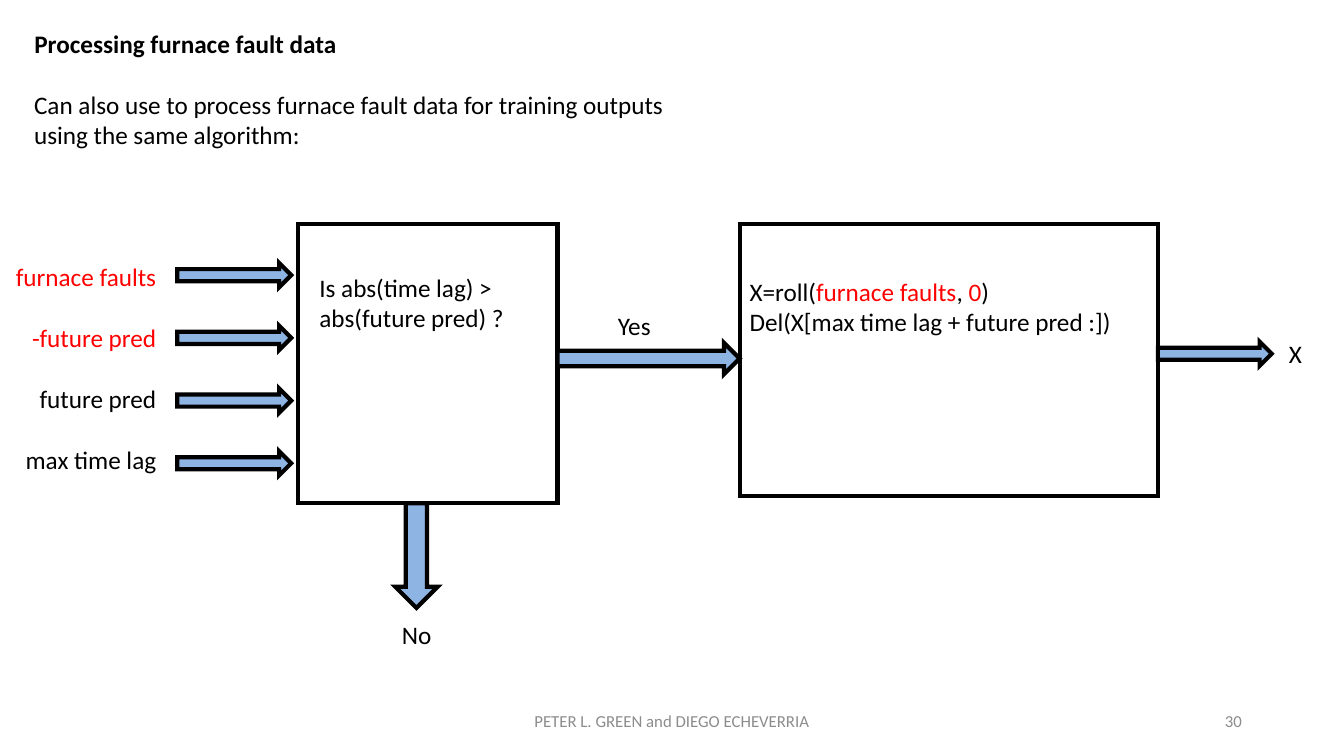
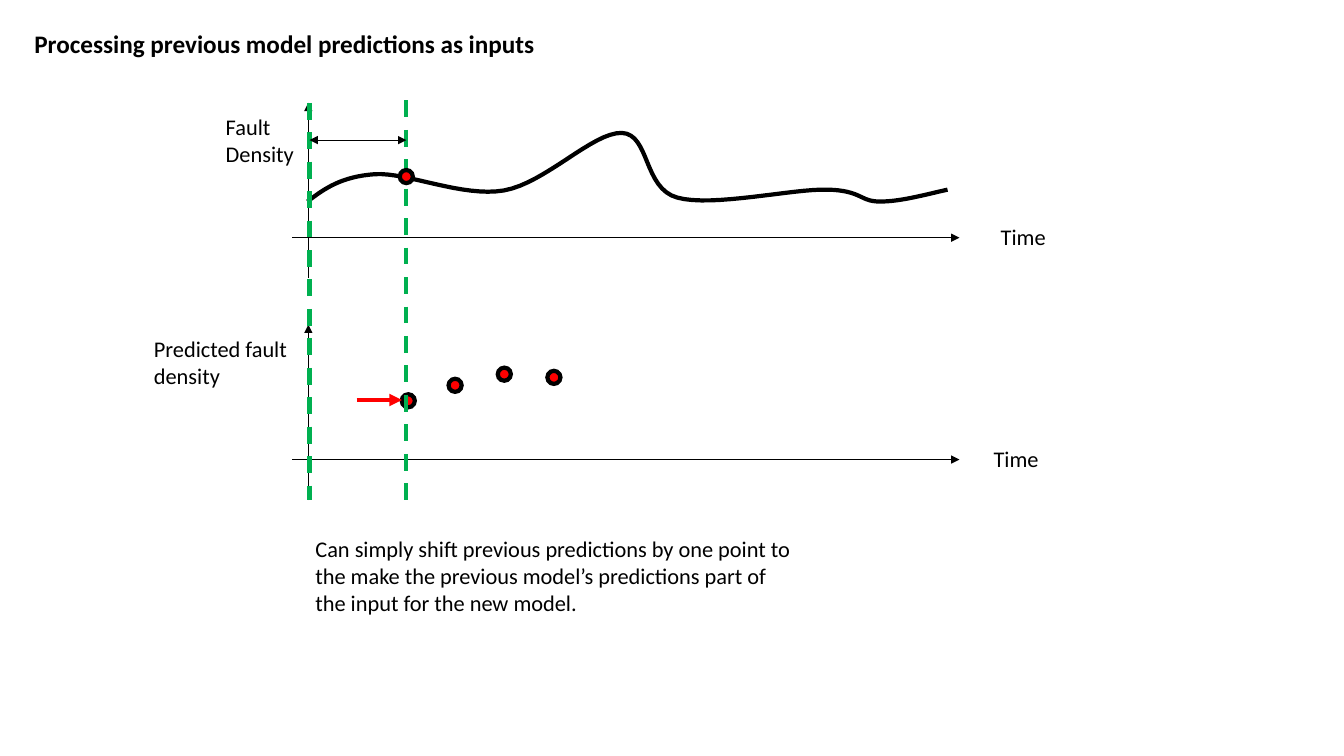
from lxml import etree
from pptx import Presentation
from pptx import util as u
from pptx.dml import color
from pptx.enum import dml, shapes, text
from pptx.oxml import ns

Cm = u.Cm
BLACK, WHITE, RED, GREEN, BLUE, GREY = "000000", "FFFFFF", "FF0000", "00B050", "8EB4E3", "8C8C8C"
THIN, THICK = 0.75, 3
LEFT, CENTER, RIGHT = text.PP_ALIGN.LEFT, text.PP_ALIGN.CENTER, text.PP_ALIGN.RIGHT
TOP, MIDDLE = text.MSO_ANCHOR.TOP, text.MSO_ANCHOR.MIDDLE
SHAPE = shapes.MSO_SHAPE
TITLE_ONLY = 5

# Centimetres right of and above the origin of the fault density plot:
# the start, then two control points and an end for each segment.
DENSITY_CURVE = [
    (-0.02, 0.91),
    (0.41, 1.24), (0.84, 1.54), (1.68, 1.6),
    (2.49, 1.65), (3.89, 1.01), (4.93, 1.19),
    (5.97, 1.37), (7.17, 2.66), (7.9, 2.64),
    (8.61, 2.61), (8.44, 1.24), (9.3, 1.01),
    (10.16, 0.76), (12.25, 1.24), (13.08, 1.21),
    (13.95, 1.19), (13.9, 0.91), (14.4, 0.91),
    (14.91, 0.91), (15.45, 1.06), (16.11, 1.21),
]
OBSERVED = (2.47, 1.54)
PREDICTED = [(2.52, 1.48), (3.7, 1.87), (4.94, 2.15), (6.19, 2.07)]


def rgb(value):
    return color.RGBColor.from_string(value)


def apply(target, values):
    for name, value in values.items():
        setattr(target, name, value)


def write(frame, paragraphs, size=18, ink=BLACK, bold=False, align=LEFT, gap=0, **frame_format):
    """Fill a frame; a paragraph is a string or a list of (words, colour) runs."""
    apply(frame, {"word_wrap": True, "auto_size": text.MSO_AUTO_SIZE.NONE,
                  "vertical_anchor": TOP, **frame_format})
    for i, runs in enumerate(paragraphs):
        paragraph = frame.add_paragraph() if i else frame.paragraphs[0]
        apply(paragraph, {"alignment": align, "space_before": u.Pt(gap if i else 0)})
        for words, run_ink in [(runs, ink)] if isinstance(runs, str) else runs:
            run = paragraph.add_run()
            run.text = words
            apply(run.font, {"name": "Calibri", "size": u.Pt(size), "bold": bold})
            run.font.color.rgb = rgb(run_ink)


def add_text(slide, box, paragraphs, **style):
    label = slide.shapes.add_textbox(*map(Cm, box))
    write(label.text_frame, paragraphs, **style)


def outline(shape, ink=BLACK, width=THICK):
    shape.line.width = u.Pt(width)
    shape.line.color.rgb = rgb(ink)


def add_line_part(shape, tag, **attributes):
    etree.SubElement(shape.line._get_or_add_ln(), ns.qn(tag), attributes)


def add_block(slide, kind, box, fill):
    block = slide.shapes.add_shape(kind, *map(Cm, box))
    block.shadow.inherit = False
    block.fill.solid()
    block.fill.fore_color.rgb = rgb(fill)
    outline(block)
    add_line_part(block, "a:miter", lim="800000")
    return block


def add_line(slide, start, end, ink=BLACK, width=THIN, heads=(), dashed=False):
    line = slide.shapes.add_connector(shapes.MSO_CONNECTOR.STRAIGHT, *map(Cm, start + end))
    outline(line, ink, width)
    if dashed:
        line.line.dash_style = dml.MSO_LINE.DASH
    for head in heads:
        add_line_part(line, head, type="triangle")
    etree.SubElement(line._element.spPr, ns.qn("a:effectLst"))


def add_dot(slide, center, size=0.33):
    x, y = center
    add_block(slide, SHAPE.OVAL, (x - size / 2, y - size / 2, size, size), RED)


def titled_slide(deck, title):
    slide = deck.slides.add_slide(deck.slide_layouts[TITLE_ONLY])
    heading = slide.shapes.title
    apply(heading, dict(zip(("left", "top", "width", "height"), map(Cm, (0.61, 0.58, 16.61, 1.02)))))
    write(heading.text_frame, [title], bold=True)
    return slide


def add_footer(slide, authors, number):
    top, height = 17.65, 1.02
    style = {"size": 12, "ink": GREY, "vertical_anchor": MIDDLE}
    add_text(slide, (11.22, top, 11.43, height), [authors], align=CENTER, **style)
    add_text(slide, (23.93, top, 7.62, height), [number], align=RIGHT, **style)


def input_list(slide, left, top):
    labels = [[("furnace faults", RED)], [("-future pred", RED)], "future pred", "max time lag"]
    add_text(slide, (left, top, 4.19, 5.64), labels, align=RIGHT, gap=22)
    for row in range(len(labels)):
        add_block(slide, SHAPE.RIGHT_ARROW, (left + 4.47, top + 0.18 + 1.58 * row, 2.87, 0.61), BLUE)


def process_box(slide, box, paragraphs, inset_left, inset_top):
    step = add_block(slide, SHAPE.RECTANGLE, box, WHITE)
    write(step.text_frame, paragraphs, margin_left=Cm(inset_left), margin_top=Cm(inset_top),
          margin_right=0)


def flow_diagram(slide, left, top):
    decision_left, decision_width, decision_height = left + 7.52, 6.53, 7.04
    roll_left, roll_width = left + 18.64, 10.54
    decision_right, roll_right = decision_left + decision_width, roll_left + roll_width
    bottom = top + decision_height

    input_list(slide, left, top + 0.81)
    process_box(slide, (decision_left, top, decision_width, decision_height),
                ["Is abs(time lag) >", "abs(future pred) ?"], 0.53, 1.22)
    process_box(slide, (roll_left, top, roll_width, 6.86),
                [[("X=roll(", BLACK), ("furnace faults", RED), (", ", BLACK), ("0", RED), (")", BLACK)],
                 "Del(X[max time lag + future pred :])"], 0.25, 1.32)

    add_block(slide, SHAPE.RIGHT_ARROW, (decision_right, top + 3, roll_left - decision_right, 0.79), BLUE)
    add_text(slide, (decision_right + 1.27, top + 2.06, 2.87, 1.02), ["Yes"])
    add_block(slide, SHAPE.DOWN_ARROW, (decision_left + 2.44, bottom, 1.07, 2.64), BLUE)
    add_text(slide, (decision_left + 2.36, bottom + 2.81, 2.87, 1.02), ["No"])
    add_block(slide, SHAPE.RIGHT_ARROW, (roll_right, top + 2.97, 2.87, 0.61), BLUE)
    add_text(slide, (roll_right + 3.05, top + 2.77, 1.57, 1.02), ["X"])


def from_origin(origin, point):
    return origin[0] + point[0], origin[1] - point[1]


def plot_axes(slide, origin, name, name_offset, time_offset):
    x, y = origin
    for start, end in (((-0.4, 0), (16.41, 0)), ((0, -1.02), (0, 3.4))):
        add_line(slide, from_origin(origin, start), from_origin(origin, end), heads=["a:tailEnd"])
    add_text(slide, (x + time_offset, y - 0.48, 1.8, 0.94), ["Time"], size=16)
    add_text(slide, (x + name_offset, y - 3.26, 4.3, 1.63), name, size=16)


def smooth_points(controls, steps=16):
    """Points along the chain of cubic Bezier segments."""
    points = [controls[0]]
    for i in range(0, len(controls) - 1, 3):
        segment = controls[i:i + 4]
        for step in range(1, steps + 1):
            t = step / steps
            weights = ((1 - t) ** 3, 3 * t * (1 - t) ** 2, 3 * t * t * (1 - t), t ** 3)
            points.append(tuple(sum(w * p[axis] for w, p in zip(weights, segment)) for axis in (0, 1)))
    return points


def density_curve(slide, origin):
    start, *rest = [tuple(map(Cm, from_origin(origin, p))) for p in smooth_points(DENSITY_CURVE)]
    builder = slide.shapes.build_freeform(*start)
    builder.add_line_segments(rest, close=False)
    curve = builder.convert_to_shape()
    curve.shadow.inherit = False
    curve.fill.background()
    outline(curve)


def density_plots(slide, left, top):
    observed = (left, top)
    predicted = (left, top + 5.59)
    plot_axes(slide, observed, ["Fault", "Density"], -2.33, 17.2)
    plot_axes(slide, predicted, ["Predicted fault", "density"], -4.14, 17.02)
    density_curve(slide, observed)
    for point in PREDICTED:
        add_dot(slide, from_origin(predicted, point))

    window_start, window_end = left + 0.03, left + 2.47
    for x, overshoot in ((window_start, 0), (window_end, 0.06)):
        add_line(slide, (x, top - 3.4 - overshoot), (x, top + 6.61 + overshoot),
                 GREEN, THICK, dashed=True)
    add_line(slide, (window_end, top - 2.46), (window_start, top - 2.46),
             heads=["a:headEnd", "a:tailEnd"])
    add_dot(slide, from_origin(observed, OBSERVED))
    shift_y = predicted[1] - 1.5
    add_line(slide, (left + 1.22, shift_y), (left + 2.36, shift_y), RED, THICK, ["a:tailEnd"])


def fault_data_slide(deck):
    slide = titled_slide(deck, "Processing furnace fault data")
    add_text(slide, (0.61, 2.13, 16.61, 1.8),
             ["Can also use to process furnace fault data for training outputs using the same algorithm:"])
    flow_diagram(slide, 0, 5.64)
    add_footer(slide, "PETER L. GREEN and DIEGO ECHEVERRIA", "30")


def predictions_slide(deck):
    slide = titled_slide(deck, "Processing previous model predictions as inputs")
    density_plots(slide, 7.77, 5.99)
    add_text(slide, (7.7, 13.36, 12.75, 2.31),
             ["Can simply shift previous predictions by one point to the make the previous "
              "model’s predictions part of the input for the new model."], size=16)


def main():
    deck = Presentation()
    apply(deck, {"slide_width": Cm(33.87), "slide_height": Cm(19.05)})
    fault_data_slide(deck)
    predictions_slide(deck)
    deck.save("out.pptx")


if __name__ == "__main__":
    main()
